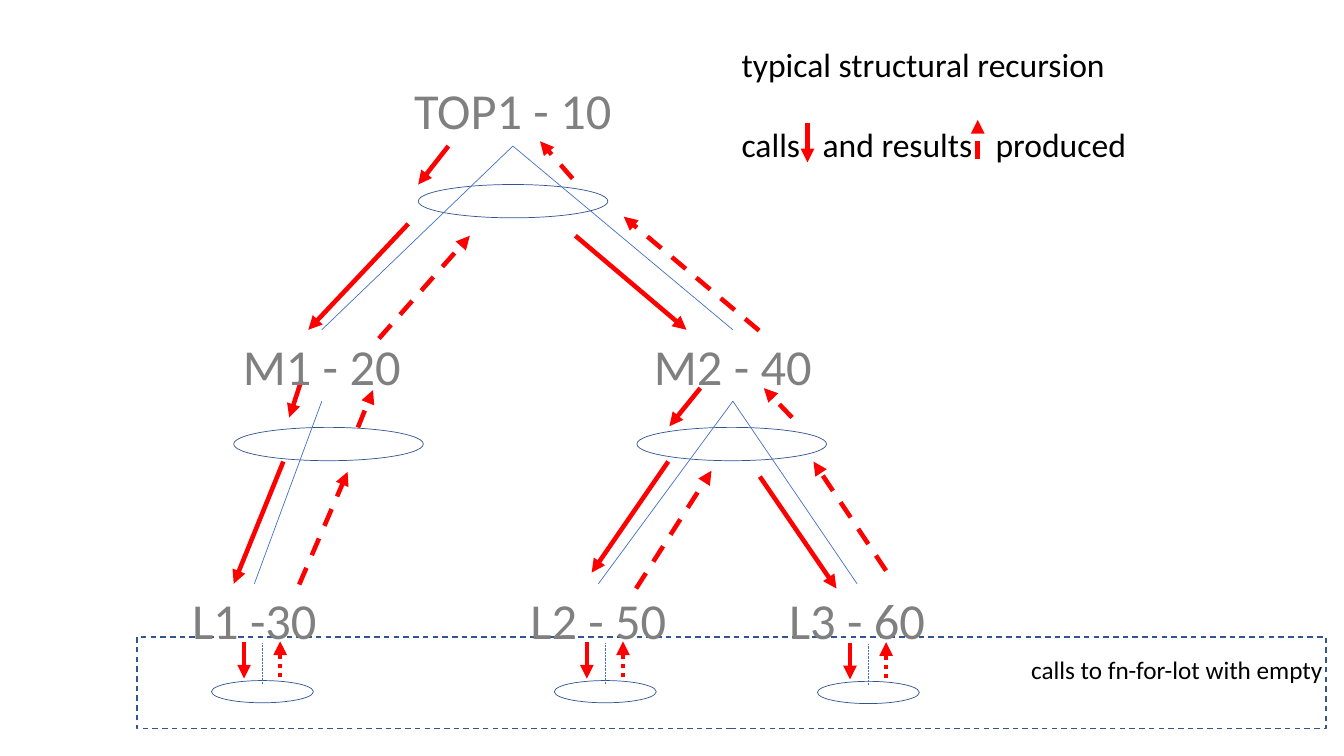
from lxml.etree import SubElement
from pptx import Presentation
from pptx.dml.color import RGBColor
from pptx.enum.dml import MSO_LINE
from pptx.enum.shapes import MSO_CONNECTOR, MSO_SHAPE
from pptx.enum.text import PP_ALIGN
from pptx.oxml.ns import qn
from pptx.util import Cm, Pt

RED, NAVY, BLUE, GRAY, BLACK = "FF0000", "325491", "4472C4", "808080", "000000"

# Tree labels: left, top, width in centimetres
NODES = {
    "L1 -30": (4.39, 14.71, 4.04),
    "L2 - 50": (13.06, 14.71, 4.04),
    "L3 - 60": (19.58, 14.71, 4.04),
    "M1 - 20": (5.72, 8.31, 4.78),
    "M2 - 40": (16.08, 8.31, 4.78),
    "TOP1 - 10": (10.13, 1.88, 5.59),
}
EDGES = [
    ("TOP1 - 10", "M1 - 20"),
    ("M1 - 20", "L1 -30"),
    ("TOP1 - 10", "M2 - 40"),
    ("M2 - 40", "L2 - 50"),
    ("M2 - 40", "L3 - 60"),
]
CHILD_LISTS = [(10.54, 4.65), (5.89, 10.77), (16.05, 10.77)]
EMPTY_LISTS = [(5.33, 17.15), (13.97, 17.15), (20.6, 17.17)]

# Arrows: start x, start y, end x, end y in centimetres
CALLS = [
    (11.3, 3.68, 10.54, 4.65),
    (10.29, 5.64, 7.77, 8.31),
    (7.59, 9.6, 7.29, 10.52),
    (7.14, 11.63, 5.89, 14.71),
    (14.5, 5.94, 17.3, 8.31),
    (16.84, 11.63, 14.91, 14.43),
    (17.65, 9.78, 16.87, 10.74),
    (19.15, 12.01, 21.08, 14.83),
    (20.35, 3.1, 20.35, 4.09),
]
RESULTS = [
    (7.54, 14.73, 8.76, 11.89),
    (9.55, 8.53, 11.84, 5.94),
    (16.03, 14.83, 17.93, 11.86),
    (22.33, 14.38, 20.5, 11.63),
    (9.02, 10.77, 9.4, 9.83),
    (19.96, 10.52, 19.25, 9.78),
    (19.13, 8.33, 15.72, 5.46),
    (14.43, 4.5, 13.61, 3.56),
    (24.64, 4.01, 24.64, 3.02),
]


def color(hex_code):
    return RGBColor.from_string(hex_code)


def style_line(line, hex_code, width, dash=None):
    line.color.rgb = color(hex_code)
    line.width = Pt(width)
    if dash is not None:
        line.dash_style = dash


def add_outline(shapes, kind, left, top, width, height, line_width=0.5, dash=None):
    """Add an unfilled navy shape."""
    shape = shapes.add_shape(kind, Cm(left), Cm(top), Cm(width), Cm(height))
    shape.shadow.inherit = False
    shape.fill.background()
    style_line(shape.line, NAVY, line_width, dash)


def add_line(shapes, points, hex_code=BLUE, width=0.5, dash=None):
    connector = shapes.add_connector(
        MSO_CONNECTOR.STRAIGHT, *[Cm(value) for value in points])
    style_line(connector.line, hex_code, width, dash)
    SubElement(connector._element.spPr, qn("a:effectLst"))
    return connector


def add_arrow(shapes, points, dash=None):
    connector = add_line(shapes, points, RED, 3.25, dash)
    SubElement(connector.line._get_or_add_ln(), qn("a:tailEnd"), type="triangle")


def add_text(shapes, text, box, size, hex_code=BLACK, align=PP_ALIGN.LEFT):
    text_box = shapes.add_textbox(*[Cm(value) for value in box])
    text_frame = text_box.text_frame
    text_frame.word_wrap = True
    text_frame.text = text
    for paragraph in text_frame.paragraphs:
        paragraph.alignment = align
        for run in paragraph.runs:
            run.font.name = "Calibri"
            run.font.size = Pt(size)
            run.font.color.rgb = color(hex_code)
    return text_box


def add_legend(shapes):
    """Add the heading and the key, whose tabs leave room for two arrows."""
    legend = add_text(
        shapes, "typical structural recursion\ncalls\tand results\tproduced",
        (18.44, 0.97, 14.02, 4.37), 24)
    key = legend.text_frame.paragraphs[1]
    key.space_before = Pt(29)
    tab_list = SubElement(key._p.get_or_add_pPr(), qn("a:tabLst"))
    for position in (2.04, 6.4):
        SubElement(tab_list, qn("a:tab"), pos=str(Cm(position)), algn="l")


def add_empty_call(slide, left, top):
    """Add the call and result around one empty list."""
    shapes = slide.shapes.add_group_shape().shapes
    add_outline(shapes, MSO_SHAPE.OVAL, left, top, 2.57, 0.56)
    middle = left + 1.29
    add_line(shapes, (middle, top - 0.94, middle, top + 0.08),
             dash=MSO_LINE.ROUND_DOT)
    call, result = middle - 0.47, middle + 0.44
    add_arrow(shapes, (call, top - 0.97, call, top - 0.05))
    add_arrow(shapes, (result, top - 0.08, result, top - 0.99), MSO_LINE.ROUND_DOT)


def add_empty_frame(slide):
    shapes = slide.shapes.add_group_shape().shapes
    add_outline(shapes, MSO_SHAPE.RECTANGLE, 3.45, 16.05, 29.97, 2.31, 1, MSO_LINE.DASH)
    add_text(shapes, "calls to fn-for-lot with empty", (22.68, 16.36, 10.9, 1.02),
             18, align=PP_ALIGN.RIGHT)


def add_tree(shapes):
    labels = {
        text: add_text(shapes, text, (left, top, width, 1.8), 36, GRAY, PP_ALIGN.CENTER)
        for text, (left, top, width) in NODES.items()
    }
    for parent, child in EDGES:
        edge = add_line(shapes, (0, 0, 0, 0))
        edge.begin_connect(labels[parent], 2)
        edge.end_connect(labels[child], 0)


def main():
    presentation = Presentation()
    presentation.slide_width = Cm(33.87)
    presentation.slide_height = Cm(19.05)
    slide = presentation.slides.add_slide(presentation.slide_layouts[6])
    shapes = slide.shapes

    for left, top in CHILD_LISTS:
        add_outline(shapes, MSO_SHAPE.OVAL, left, top, 4.78, 0.84)
    add_legend(shapes)
    for points in CALLS:
        add_arrow(shapes, points)
    for points in RESULTS:
        add_arrow(shapes, points, MSO_LINE.DASH)
    for left, top in EMPTY_LISTS:
        add_empty_call(slide, left, top)
    add_empty_frame(slide)
    add_tree(shapes)

    presentation.save("out.pptx")


if __name__ == "__main__":
    main()
